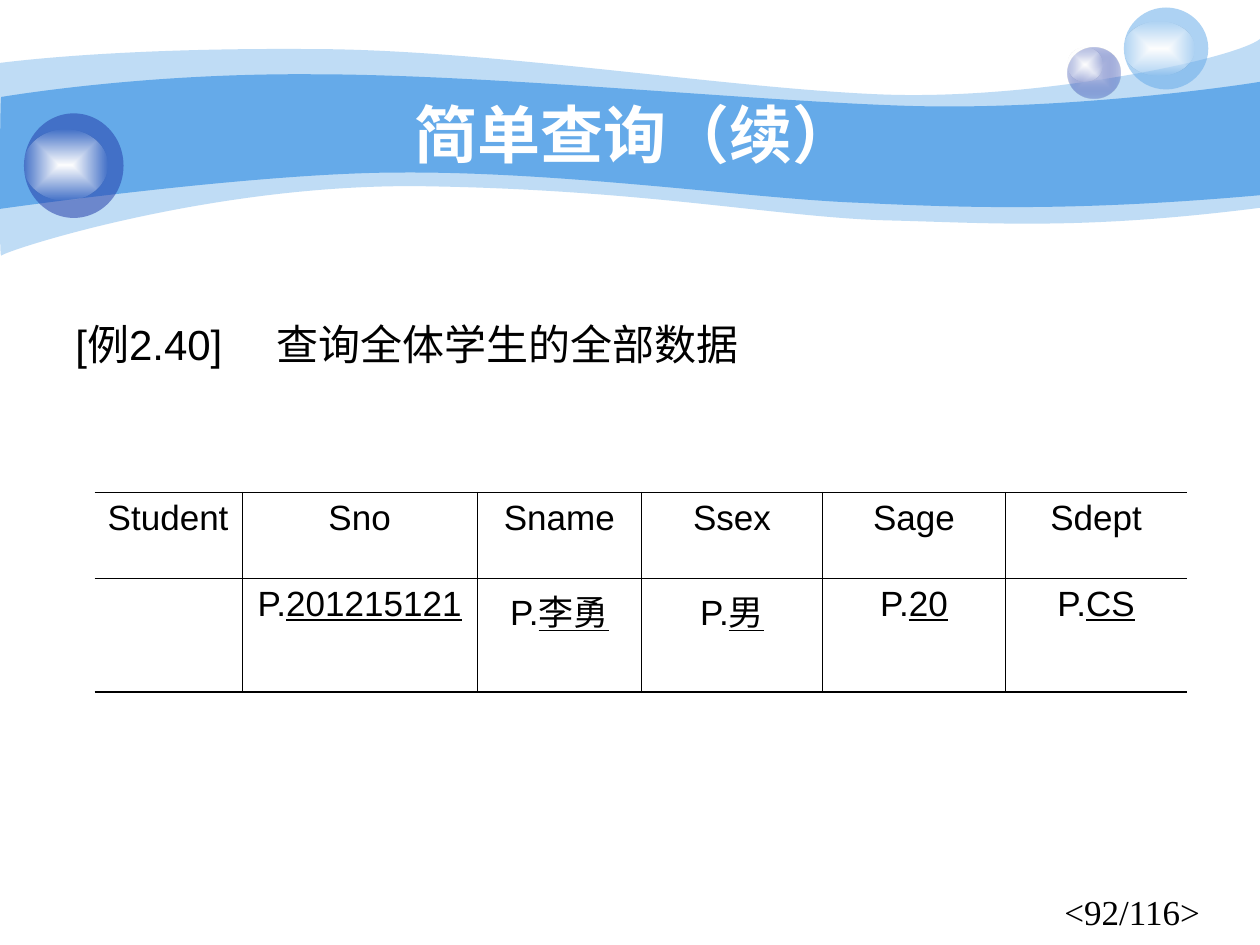
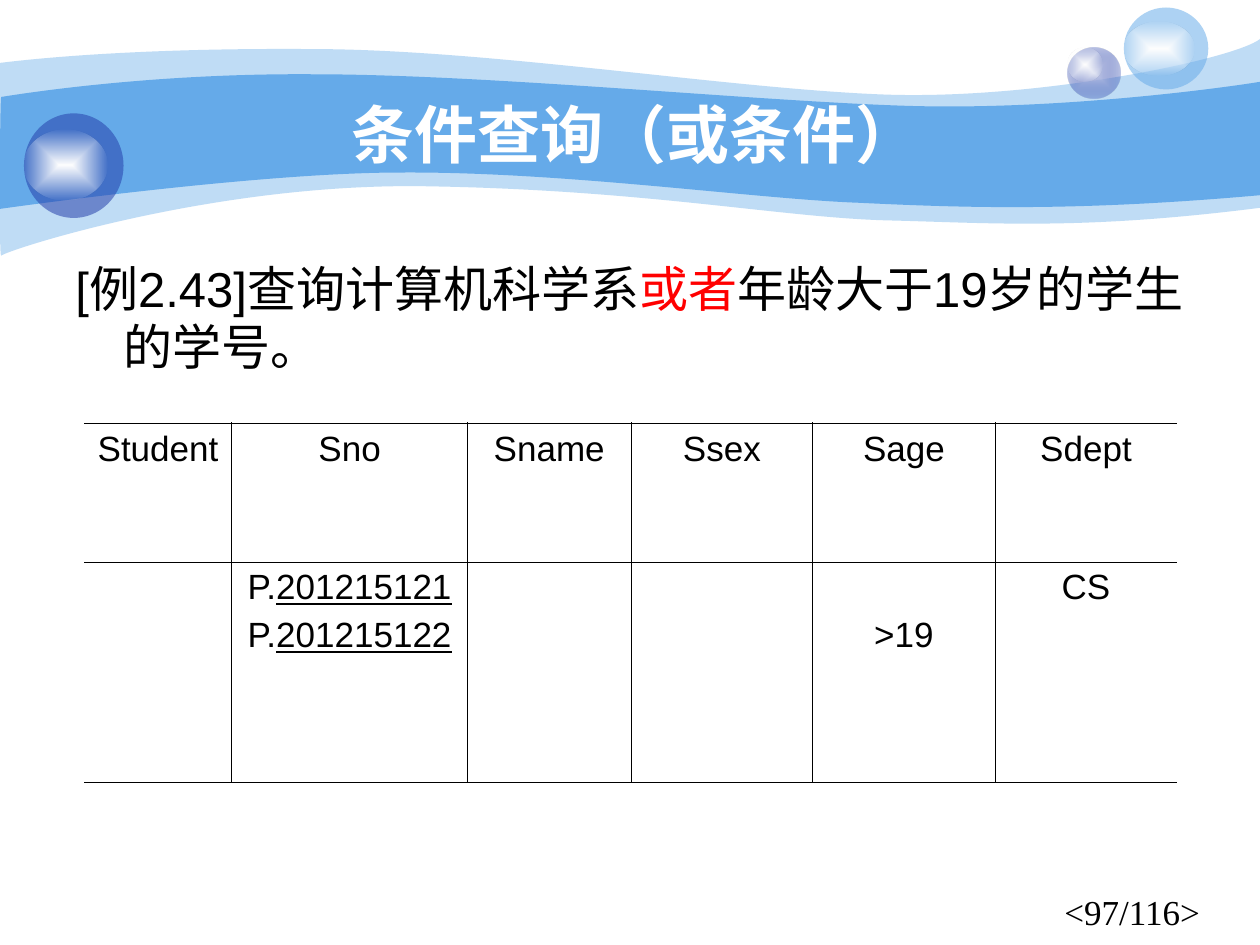
from dataclasses import dataclass

from lxml import etree
from pptx import Presentation
from pptx.dml.color import RGBColor
from pptx.enum.shapes import MSO_SHAPE
from pptx.enum.text import MSO_ANCHOR, PP_ALIGN
from pptx.oxml.ns import qn
from pptx.util import Inches, Pt

OVAL = MSO_SHAPE.OVAL
TOP, MIDDLE = MSO_ANCHOR.TOP, MSO_ANCHOR.MIDDLE
LEFT, CENTER, JUSTIFY = PP_ALIGN.LEFT, PP_ALIGN.CENTER, PP_ALIGN.JUSTIFY


@dataclass(frozen=True)
class Theme:
    sky: str = "65AAE9"
    navy: str = "233DA9"
    lavender: str = "C7CEE9"
    white: str = "FFFFFF"
    ink: str = "000000"
    accent: str = "FF0000"
    font: str = "Arial"
    footer_font: str = "Times New Roman"
    title_size: int = 36
    table_size: int = 20
    footer_size: int = 20
    thick_rule: float = 1.08
    thin_rule: float = 0.45


THEME = Theme()
TOTAL_PAGES = 116
UNITS_PER_INCH = 100

# Each wave is a start point, then segments: one point is a straight line,
# three points are the two handles and the end of a curve.
PALE_WAVE = [
    [(0, 0.5)],
    [(0.24, 0.47), (1.07, 0.38), (2.47, 0.39)],
    [(3.86, 0.39), (5.75, 0.7), (6.99, 0.75)],
    [(8.22, 0.8), (9.8, 0.47), (10, 0.31)],
    [(10, 1.65)],
    [(8.58, 1.83), (7.87, 1.77), (7.05, 1.75)],
    [(6.22, 1.73), (5.15, 1.51), (3.43, 1.48)],
    [(1.72, 1.44), (0.04, 1.99), (0.01, 2.03)],
    [(-0.01, 2.08), (0, 0.75), (0, 0.5)],
]
BRIGHT_WAVE = [
    [(0.01, 0.77)],
    [(0.02, 0.77), (1.1, 0.58), (2.48, 0.59)],
    [(3.86, 0.59), (5.95, 0.8), (7.18, 0.84)],
    [(8.41, 0.88), (9.76, 0.69), (10, 0.65)],
    [(10, 1.55)],
    [(8.53, 1.68), (7.65, 1.65), (6.82, 1.61)],
    [(5.99, 1.58), (4.47, 1.36), (3.17, 1.37)],
    [(2.03, 1.37), (-0.02, 1.66), (-0.01, 1.66)],
    [(0, 1.66), (0, 0.77), (0.01, 0.77)],
]

# Fills are lists of (colour, opacity percent); two entries make a gradient.
GLOSS = [(THEME.white, 100), (THEME.white, 0)]
ORBS = [
    ((8.47, 0.38, 0.42, 0.4), [(THEME.lavender, 100), (THEME.navy, 31)],
     (8.47, 0.38, 0.28, 0.27)),
    ((8.92, 0.06, 0.67, 0.65), [(THEME.sky, 53)], (8.92, 0.17, 0.56, 0.43)),
    ((0.19, 0.9, 0.79, 0.83), [(THEME.navy, 53)], (0.19, 1.03, 0.66, 0.56)),
]

COLUMN_WIDTHS = [1.17, 1.87, 1.3, 1.44, 1.45, 1.44]
HEADERS = ["Student", "Sno", "Sname", "Ssex", "Sage", "Sdept"]


def inches(box):
    return [Inches(length) for length in box]


def paint(shape, colors):
    """Fill with one colour, or from the centre outward with two; no outline."""
    shape.shadow.inherit = False
    shape.line.fill.background()
    properties = shape._element.spPr
    if len(colors) == 1:
        shape.fill.solid()
        shape.fill.fore_color.rgb = RGBColor.from_string(colors[0][0])
    else:
        shape.fill.gradient()
        for stop, (color, _) in zip(shape.fill.gradient_stops, colors):
            stop.color.rgb = RGBColor.from_string(color)
        gradient = properties.find(qn("a:gradFill"))
        gradient.remove(gradient.find(qn("a:lin")))
        center = etree.SubElement(gradient, qn("a:path"), path="rect")
        etree.SubElement(center, qn("a:fillToRect"),
                         dict.fromkeys("ltrb", "50000"))
    for element, (_, opacity) in zip(properties.iter(qn("a:srgbClr")), colors):
        if opacity < 100:
            etree.SubElement(element, qn("a:alpha"), val=str(opacity * 1000))


def add_wave(slide, segments, colors):
    """Build the outline from all points, then join handles into curves."""
    first, *others = [(round(x * UNITS_PER_INCH), round(y * UNITS_PER_INCH))
                      for segment in segments for x, y in segment]
    builder = slide.shapes.build_freeform(
        *first, scale=Inches(1) / UNITS_PER_INCH)
    builder.add_line_segments(others, close=True)
    shape = builder.convert_to_shape()
    lines = iter(list(shape._element.spPr.iter(qn("a:lnTo"))))
    for segment in segments[1:]:
        parts = [next(lines) for _ in segment]
        if len(parts) == 3:
            curve = etree.Element(qn("a:cubicBezTo"))
            parts[0].addprevious(curve)
            for part in parts:
                curve.append(part[0])
                part.getparent().remove(part)
    paint(shape, colors)


def add_orb(slide, ball_box, colors, gloss_box):
    group = slide.shapes.add_group_shape()
    for box, fill in ((ball_box, colors), (gloss_box, GLOSS)):
        paint(group.shapes.add_shape(OVAL, *inches(box)), fill)


def add_run(paragraph, text, size, color=THEME.ink, font=THEME.font,
            bold=False, underline=False):
    run = paragraph.add_run()
    run.text = text
    run.font.name = font
    run.font.size = Pt(size)
    run.font.bold = bold
    run.font.underline = underline
    run.font.color.rgb = RGBColor.from_string(color)


def add_text_box(slide, box, alignment=LEFT, anchor=TOP):
    """Add an empty wrapping text box and return its first paragraph."""
    frame = slide.shapes.add_textbox(*inches(box)).text_frame
    frame.word_wrap = True
    frame.vertical_anchor = anchor
    paragraph = frame.paragraphs[0]
    paragraph.alignment = alignment
    return paragraph


def add_lesson_slide(presentation, title, page):
    """Add a slide with the wave banner, its title and the page count."""
    slide = presentation.slides.add_slide(presentation.slide_layouts[6])
    add_wave(slide, PALE_WAVE, [(THEME.sky, 41)])
    add_wave(slide, BRIGHT_WAVE, [(THEME.sky, 100)])
    for orb in ORBS:
        add_orb(slide, *orb)
    footer = add_text_box(slide, (8.35, 7.02, 1.53, 0.43))
    add_run(footer, f"<{page}/{TOTAL_PAGES}>", THEME.footer_size,
            font=THEME.footer_font)
    heading = add_text_box(slide, (1, 0.75, 8.08, 0.62), CENTER, MIDDLE)
    add_run(heading, title, THEME.title_size, THEME.white, bold=True)
    return slide


def add_example(slide, box, size, parts, alignment=LEFT, hanging=0, tab=None):
    """Write an example statement from (text, colour) parts."""
    paragraph = add_text_box(slide, box, alignment)
    properties = paragraph._p.get_or_add_pPr()
    if hanging:
        properties.set("marL", str(Inches(hanging)))
        properties.set("indent", str(-Inches(hanging)))
    if tab:
        tabs = etree.SubElement(properties, qn("a:tabLst"))
        etree.SubElement(tabs, qn("a:tab"), pos=str(Inches(tab)), algn="l")
    for text, color in parts:
        add_run(paragraph, text, size, color)


def rule_cell(cell, widths):
    """Draw left, right, top and bottom borders; zero width means none."""
    properties = cell._tc.get_or_add_tcPr()
    for index, (side, width) in enumerate(zip("LRTB", widths)):
        line = etree.Element(qn(f"a:ln{side}"), w=str(Pt(width)))
        if width:
            fill = etree.SubElement(line, qn("a:solidFill"))
            etree.SubElement(fill, qn("a:srgbClr"), val=THEME.ink)
        else:
            etree.SubElement(line, qn("a:noFill"))
        properties.insert(index, line)


def write_cell(cell, entries):
    """Write one paragraph per (plain text, underlined text) entry."""
    for index, (plain, underlined) in enumerate(entries):
        frame = cell.text_frame
        paragraph = frame.add_paragraph() if index else frame.paragraphs[0]
        paragraph.alignment = CENTER
        if index:
            paragraph.space_before = Pt(5)
        add_run(paragraph, plain, THEME.table_size)
        if underlined:
            add_run(paragraph, underlined, THEME.table_size, underline=True)


def add_query_table(slide, left, top, row_heights, conditions):
    """Add the Student form; conditions maps a column name to its entries."""
    box = (left, top, sum(COLUMN_WIDTHS), sum(row_heights))
    table = slide.shapes.add_table(
        len(row_heights), len(HEADERS), *inches(box)).table
    table.first_row = table.horz_banding = False
    for column, width in zip(table.columns, COLUMN_WIDTHS):
        column.width = Inches(width)
    for row, height in zip(table.rows, row_heights):
        row.height = Inches(height)
    thin, thick = THEME.thin_rule, THEME.thick_rule
    for index, name in enumerate(HEADERS):
        left_rule = thin if index else 0
        right_rule = thin if index < len(HEADERS) - 1 else 0
        header, condition = table.cell(0, index), table.cell(1, index)
        for cell, rules in ((header, (thick, thin)), (condition, (thin, thick))):
            cell.fill.background()
            rule_cell(cell, (left_rule, right_rule, *rules))
        write_cell(header, [(name, "")])
        write_cell(condition, conditions.get(name, []))
    return table


def add_simple_query_slide(presentation):
    slide = add_lesson_slide(presentation, "简单查询（续）", 92)
    add_example(slide, (0.5, 2.48, 8.04, 0.6), 24,
                [("[例2.40]\t查询全体学生的全部数据", THEME.ink)], tab=1.6)
    add_query_table(slide, 0.75, 3.91, [0.68, 0.9], {
        "Sno": [("P.", "201215121")],
        "Sname": [("P.", "李勇")],
        "Ssex": [("P.", "男")],
        "Sage": [("P.", "20")],
        "Sdept": [("P.", "CS")],
    })


def add_or_condition_slide(presentation):
    slide = add_lesson_slide(presentation, "条件查询（或条件）", 97)
    add_example(slide, (0.5, 2, 8.99, 1.36), 28,
                [("[例2.43]查询计算机科学系", THEME.ink),
                 ("或者", THEME.accent),
                 ("年龄大于19岁的学生的学号。", THEME.ink)],
                JUSTIFY, hanging=0.38)
    table = add_query_table(slide, 0.67, 3.36, [1.1, 1.75], {
        "Sno": [("P.", "201215121"), ("P.", "201215122")],
        "Sage": [(">19", "")],
        "Sdept": [("CS", "")],
    })
    # The age condition lines up with the second student number.
    table.cell(1, HEADERS.index("Sage")).margin_top = Inches(0.43)


def main():
    presentation = Presentation()
    presentation.slide_width = Inches(10)
    presentation.slide_height = Inches(7.5)
    add_simple_query_slide(presentation)
    add_or_condition_slide(presentation)
    presentation.save("out.pptx")


if __name__ == "__main__":
    main()
